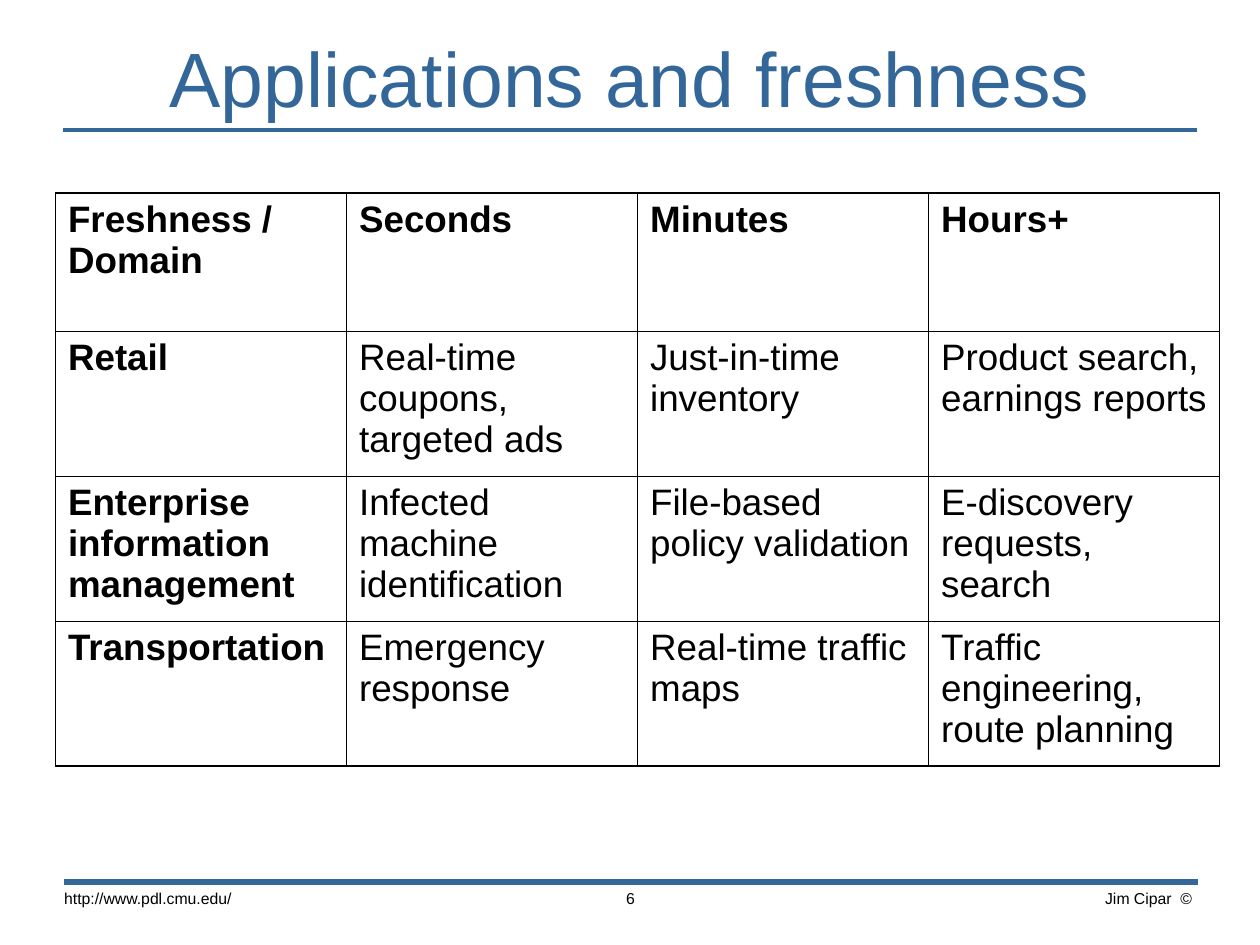
"""Build the slide on applications and their freshness needs."""
from lxml import etree
from pptx import Presentation
from pptx.dml.color import RGBColor
from pptx.enum.shapes import MSO_CONNECTOR
from pptx.enum.text import MSO_ANCHOR, PP_ALIGN
from pptx.oxml.ns import qn
from pptx.util import Inches, Pt

LEFT, CENTER, RIGHT = PP_ALIGN.LEFT, PP_ALIGN.CENTER, PP_ALIGN.RIGHT
TOP, MIDDLE = MSO_ANCHOR.TOP, MSO_ANCHOR.MIDDLE
STRAIGHT = MSO_CONNECTOR.STRAIGHT
COLORS = {"accent": "336699", "ink": "000000"}
FONT = "Arial"
WIDTH, HEIGHT = 10, 7.5
COLUMN, HEADER_ROW, BODY_ROW = 2.31, 1.1, 1.15
OUTER, INNER = 1.08, 0.45

DOMAINS = [
    ["Freshness / Domain", "Seconds", "Minutes", "Hours+"],
    ["Retail", "Real-time coupons, targeted ads", "Just-in-time inventory",
     "Product search, earnings reports"],
    ["Enterprise information management", "Infected machine identification",
     "File-based policy validation", "E-discovery requests, search"],
    ["Transportation", "Emergency response", "Real-time traffic maps",
     "Traffic engineering, route planning"],
]


def write(frame, text, size, color, align=LEFT, bold=False):
    para = frame.paragraphs[0]
    para.alignment = align
    span = para.add_run()
    span.text = text
    span.font.name = FONT
    span.font.size = Pt(size)
    span.font.bold = bold
    span.font.color.rgb = RGBColor.from_string(COLORS[color])


def add_border(cell, side, points):
    line = etree.SubElement(cell._tc.get_or_add_tcPr(), qn(f"a:ln{side}"), w=str(Pt(points)))
    fill = etree.SubElement(line, qn("a:solidFill"))
    etree.SubElement(fill, qn("a:srgbClr"), val=COLORS["ink"])


deck = Presentation()
deck.slide_width, deck.slide_height = Inches(WIDTH), Inches(HEIGHT)
page = deck.slides.add_slide(deck.slide_layouts[6])

for left, top, weight in [(0.5, 1.03, 2), (0.51, 7, 3.5)]:
    rule = page.shapes.add_connector(
        STRAIGHT, Inches(left), Inches(top), Inches(left + 0.9 * WIDTH), Inches(top))
    rule.line.color.rgb = RGBColor.from_string(COLORS["accent"])
    rule.line.width = Pt(weight)
    etree.SubElement(rule._element.spPr, qn("a:effectLst"))

for text, left, top, width, height, size, color, align, anchor, right_inset in [
    ("Jim Cipar  ©", 7.07, 6.99, 2.54, 0.42, 9, "ink", RIGHT, TOP, 0.15),
    ("http://www.pdl.cmu.edu/", 0.4, 6.99, 2.5, 0.42, 9, "ink", LEFT, TOP, 0.11),
    ("6", 4.03, 6.99, 1.95, 0.23, 9, "ink", CENTER, TOP, 0.11),
    ("Applications and freshness", 0, 0.23, WIDTH, 0.75, 44, "accent", CENTER, MIDDLE, 0.11),
]:
    box = page.shapes.add_textbox(Inches(left), Inches(top), Inches(width), Inches(height))
    frame = box.text_frame
    frame.word_wrap = True
    frame.vertical_anchor = anchor
    frame.margin_left, frame.margin_right = Inches(0.11), Inches(right_inset)
    frame.margin_top = frame.margin_bottom = Inches(0.06)
    write(frame, text, size, color, align)

last_row, last_column = len(DOMAINS) - 1, len(DOMAINS[0]) - 1
table = page.shapes.add_table(
    len(DOMAINS), len(DOMAINS[0]), Inches(0.44), Inches(1.53),
    Inches(COLUMN * len(DOMAINS[0])), Inches(HEADER_ROW + BODY_ROW * last_row)).table
table.first_row = table.horz_banding = False
for column in table.columns:
    column.width = Inches(COLUMN)
for row_index, texts in enumerate(DOMAINS):
    table.rows[row_index].height = Inches(BODY_ROW if row_index else HEADER_ROW)
    for column_index, text in enumerate(texts):
        cell = table.cell(row_index, column_index)
        cell.margin_left = cell.margin_right = Inches(0.1)
        cell.margin_top = cell.margin_bottom = Inches(0.05)
        for side, is_edge in [
            ("L", column_index == 0), ("R", column_index == last_column),
            ("T", row_index == 0), ("B", row_index == last_row),
        ]:
            add_border(cell, side, OUTER if is_edge else INNER)
        cell.fill.background()
        write(cell.text_frame, text, 21, "ink", bold=row_index == 0 or column_index == 0)

deck.save("out.pptx")
